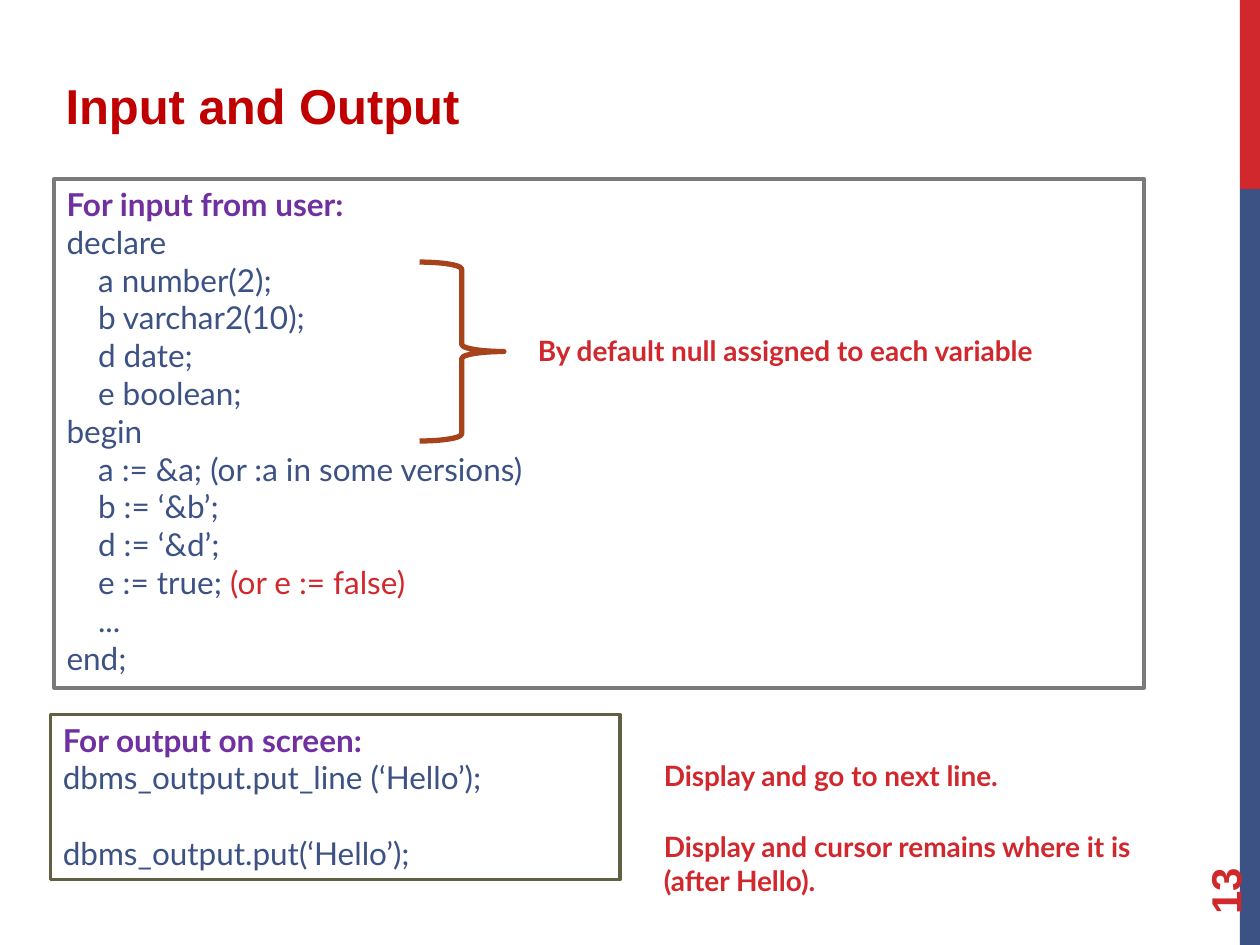
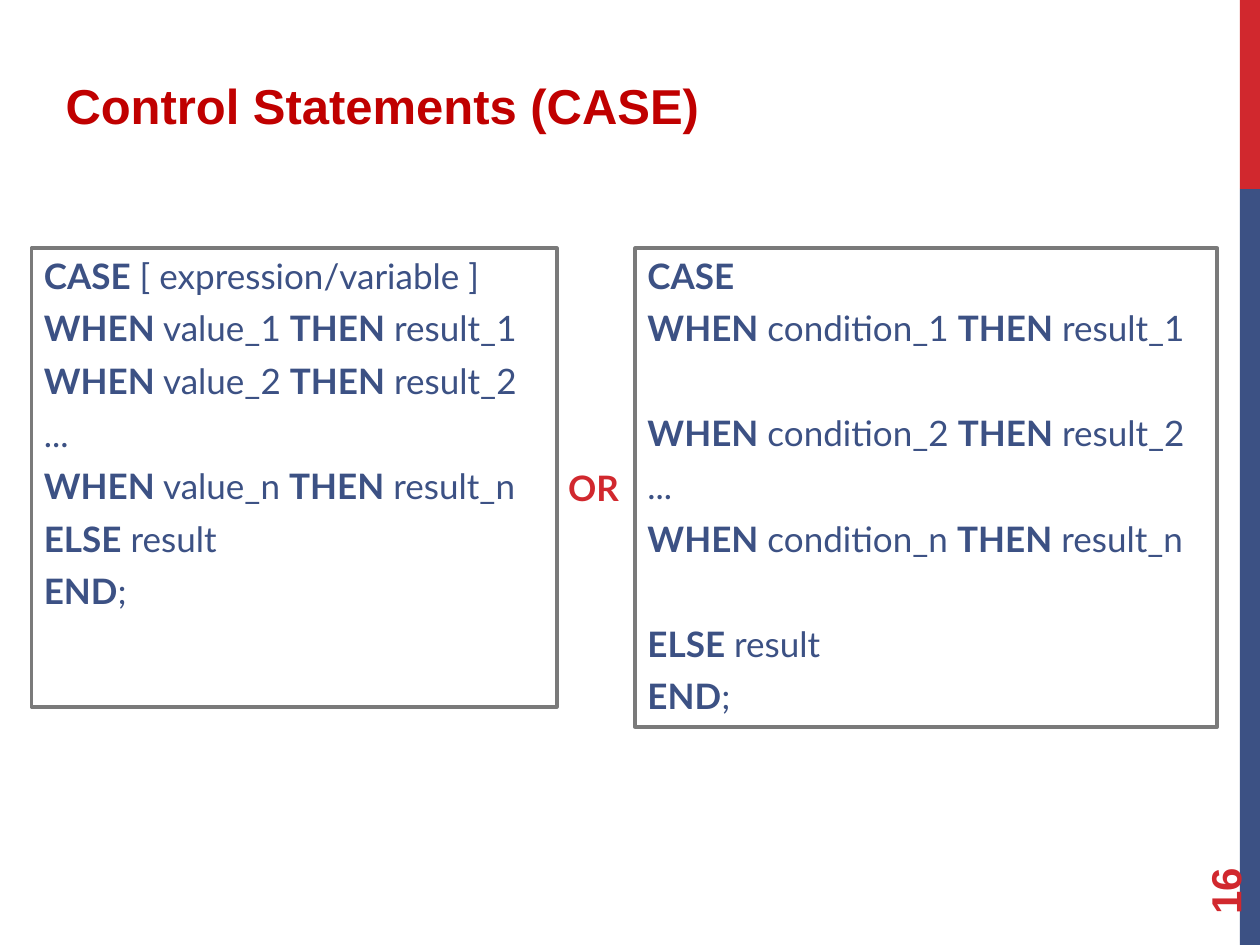
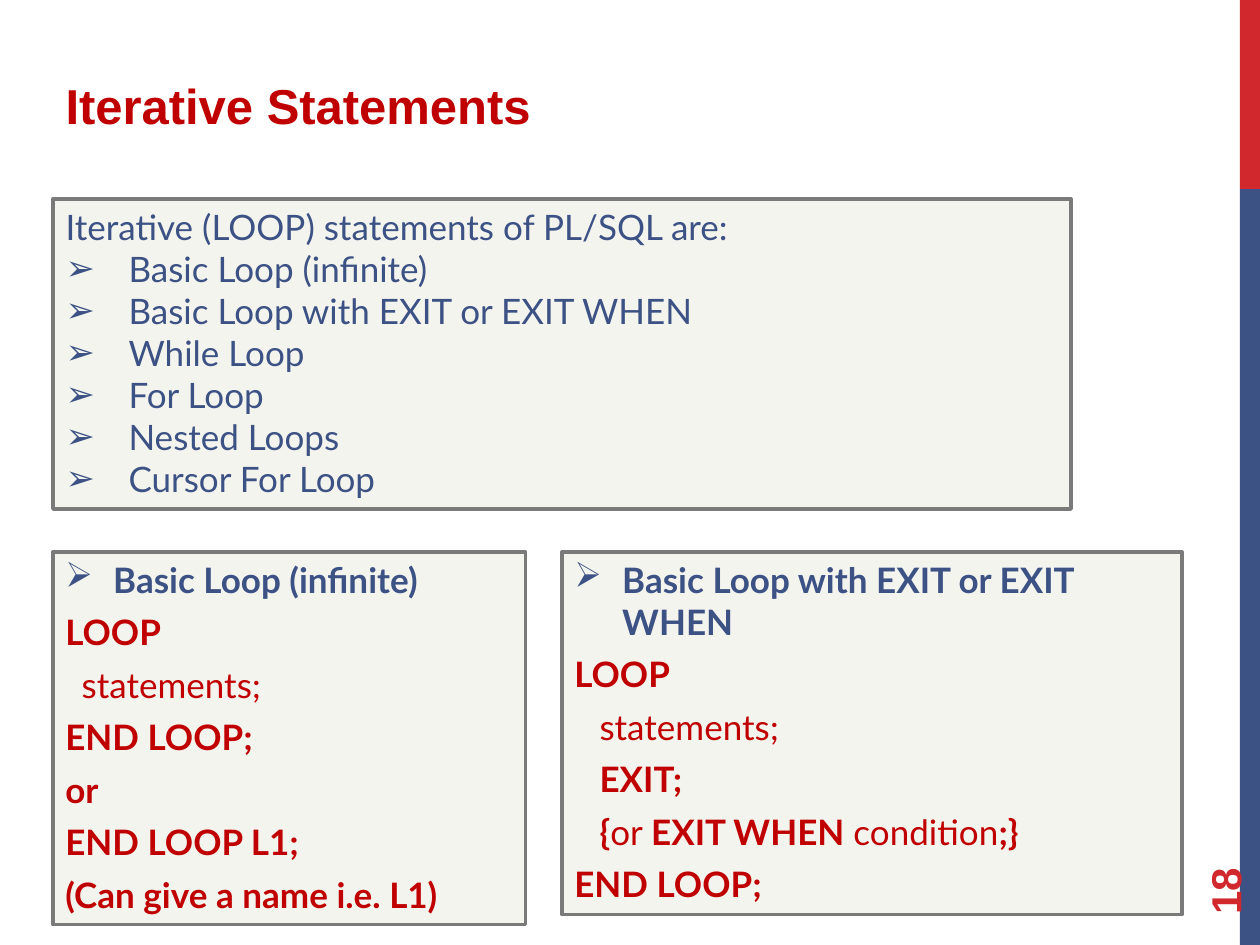
from dataclasses import dataclass

from lxml import etree
from pptx import Presentation
from pptx.dml.color import RGBColor
from pptx.enum.shapes import MSO_SHAPE
from pptx.enum.text import MSO_ANCHOR, MSO_AUTO_SIZE, PP_ALIGN
from pptx.oxml.ns import qn
from pptx.util import Inches, Pt

RED, BLUE, CRIMSON, PURPLE = "D1282E", "3C5184", "C00000", "7030A0"
GREY, OLIVE, RUST, CREAM = "7A7A7A", "616042", "A6431A", "F4F4EF"
BODY_FONT, HEAD_FONT = "Lato", "Arial"
LINE = 1.2  # line height of the body font, in ems
TITLE_AND_CONTENT, TITLE_ONLY = 1, 5


@dataclass
class Para:
    """One paragraph; ** in the text switches bold, tail is a red ending."""
    text: str
    color: str = BLUE
    indent: float = 0
    before: float = 0
    bullet: bool = False
    tail: str = ""


def rgb(value):
    """Turn a hex string into a colour."""
    return RGBColor.from_string(value)


def add_run(paragraph, text, size, color, bold, font=BODY_FONT):
    """Append a formatted run."""
    run = paragraph.add_run()
    run.text = text
    run.font.size, run.font.name, run.font.bold = Pt(size), font, bold
    run.font.color.rgb = rgb(color)


def set_indent(paragraph, left, bullet=False):
    """Set the left indent, with a hanging arrow bullet or none."""
    props = paragraph._p.get_or_add_pPr()
    props.set("marL", str(Inches(left)))
    props.set("indent", str(-Inches(left) if bullet else 0))
    mark = etree.SubElement(props, qn("a:buChar" if bullet else "a:buNone"))
    if bullet:
        mark.set("char", "➢")


def write(shape, paras, size, wrap=True):
    """Fill a shape with left-aligned paragraphs from the top."""
    frame = shape.text_frame
    frame.word_wrap, frame.auto_size = wrap, MSO_AUTO_SIZE.NONE
    frame.vertical_anchor = MSO_ANCHOR.TOP
    for i, para in enumerate(paras):
        p = frame.paragraphs[0] if i == 0 else frame.add_paragraph()
        p.alignment = PP_ALIGN.LEFT
        p.space_before, p.space_after = Pt(para.before), Pt(0)
        set_indent(p, para.indent, para.bullet)
        for j, part in enumerate(para.text.split("**")):
            if part:
                add_run(p, part, size, para.color, j % 2 == 1)
        if para.tail:
            add_run(p, para.tail, size, RED, False)


def place(shape, box):
    """Move a shape to a box of left, top, width and height in inches."""
    shape.left, shape.top, shape.width, shape.height = map(Inches, box)


def frame_box(shape, line=GREY, fill=None):
    """Give a shape the framed panel look."""
    shape.line.color.rgb, shape.line.width = rgb(line), Pt(2)
    if fill:
        shape.fill.solid()
        shape.fill.fore_color.rgb = rgb(fill)
    else:
        shape.fill.background()


def panel(slide, box, paras, size, line=GREY, fill=None):
    """Add a framed rectangle with text."""
    shape = slide.shapes.add_shape(MSO_SHAPE.RECTANGLE, *map(Inches, box))
    shape.shadow.inherit = False
    frame_box(shape, line, fill)
    write(shape, paras, size)


def note(slide, box, paras, size, wrap=True):
    """Add free-standing text."""
    write(slide.shapes.add_textbox(*map(Inches, box)), paras, size, wrap)


def brace(slide, box):
    """Add a right brace."""
    shape = slide.shapes.add_shape(MSO_SHAPE.RIGHT_BRACE, *map(Inches, box))
    shape.shadow.inherit = False
    shape.fill.background()
    shape.line.color.rgb, shape.line.width = rgb(RUST), Pt(3)


def add_bands(prs, slide):
    """Draw the two side bands and move them to the back of the master."""
    tree = prs.slide_master.shapes.element
    for top, height, color in ((0, 1.5, RED), (1.5, 6, BLUE)):
        band = slide.shapes.add_shape(
            MSO_SHAPE.RECTANGLE, *map(Inches, (9.84, top, 0.16, height)))
        band.shadow.inherit = False
        band.fill.solid()
        band.fill.fore_color.rgb = rgb(color)
        band.line.fill.background()
        tree.insert(2, band.element)


def new_slide(prs, layout, title, number):
    """Add a slide with its title and rotated page number."""
    slide = prs.slides.add_slide(prs.slide_layouts[layout])
    heading = slide.shapes.title
    place(heading, (0.42, 0.5, 9.25, 0.67))
    frame = heading.text_frame
    frame.auto_size, frame.vertical_anchor = MSO_AUTO_SIZE.NONE, MSO_ANCHOR.TOP
    frame.margin_top = Inches(0.1)
    frame.paragraphs[0].alignment = PP_ALIGN.LEFT
    add_run(frame.paragraphs[0], title, 28, CRIMSON, True, HEAD_FONT)

    page = slide.shapes.add_textbox(*map(Inches, (9, 6.44, 1.44, 0.4)))
    page.rotation = 270
    page.text_frame.word_wrap = True
    page.text_frame.vertical_anchor = MSO_ANCHOR.MIDDLE
    add_run(page.text_frame.paragraphs[0], number, 24, RED, True, HEAD_FONT)
    return slide


def input_output_slide(prs):
    """Reading input and printing output."""
    slide = new_slide(prs, TITLE_ONLY, "Input and Output", "13")
    size, step = 18, 0.25
    declarations = ["a number(2);", "b varchar2(10);", "d date;", "e boolean;"]
    assignments = ["a := &a; (or :a in some versions)", "b := ‘&b’;", "d := ‘&d’;"]
    panel(slide, (0.43, 1.42, 8.65, 4.04), [
        Para("**For input from user:**", PURPLE),
        Para("declare"),
        *[Para(text, indent=step) for text in declarations],
        Para("begin"),
        *[Para(text, indent=step) for text in assignments],
        Para("e := true; ", indent=step, tail="(or e := false)"),
        Para("...", indent=step),
        Para("end;"),
    ], size)
    brace(slide, (3.33, 2.08, 0.67, 1.42))
    note(slide, (4.17, 2.6, 4.78, 0.37),
         [Para("**By default null assigned to each variable**", RED)], 16, False)

    gap = size * LINE
    panel(slide, (0.4, 5.67, 4.52, 1.31), [
        Para("**For output on screen:**", PURPLE),
        Para("dbms_output.put_line (‘Hello’);"),
        Para("dbms_output.put(‘Hello’);", before=gap),
    ], size, OLIVE)
    note(slide, (5.17, 5.97, 3.91, 1.21), [
        Para("**Display and go to next line.**", RED),
        Para("**Display and cursor remains where it is (after Hello).**", RED,
             before=gap),
    ], 16)
    return slide


def case_slide(prs):
    """The two forms of the CASE statement."""
    slide = new_slide(prs, TITLE_ONLY, "Control Statements (CASE)", "16")
    size, space = 20, 6
    wide = 2 * space + size * LINE

    def branch(kind, index, before=space):
        """One WHEN line."""
        return Para(f"**WHEN** {kind}_{index} **THEN** result_{index}",
                    before=before)

    dots = Para("...", before=space)
    end = Para("**END**;", before=space)
    panel(slide, (0.25, 1.97, 4.17, 3.64), [
        Para("**CASE** [ expression/variable ]"),
        branch("value", 1), branch("value", 2), dots, branch("value", "n"),
        Para("**ELSE** result", before=space), end,
    ], size)
    panel(slide, (5.04, 1.97, 4.62, 3.8), [
        Para("**CASE**"),
        branch("condition", 1), branch("condition", 2, wide), dots,
        branch("condition", "n"),
        Para("**ELSE** result", before=wide), end,
    ], size)
    note(slide, (4.41, 3.65, 0.62, 0.44), [Para("**OR**", RED)], size, False)


def loop_panel(slide, box, heading, lines):
    """A bulleted heading above red code lines of (text, indent)."""
    panel(slide, box, [
        Para(f"**{heading}**", indent=0.38, bullet=True),
        *[Para(text, CRIMSON, indent, 6) for text, indent in lines],
    ], 20, fill=CREAM)


def loops_slide(prs):
    """The kinds of loop, with two of them spelled out."""
    slide = new_slide(prs, TITLE_AND_CONTENT, "Iterative Statements", "18")
    basic, with_exit = "Basic Loop (infinite)", "Basic Loop with EXIT or EXIT WHEN"
    kinds = [basic, with_exit, "While Loop", "For Loop", "Nested Loops",
             "Cursor For Loop"]
    overview = slide.placeholders[1]
    place(overview, (0.42, 1.58, 8.08, 2.46))
    frame_box(overview, fill=CREAM)
    write(overview, [
        Para("Iterative (LOOP) statements of PL/SQL are:"),
        *[Para(kind, indent=0.5, bullet=True) for kind in kinds],
    ], 20)
    loop_panel(slide, (0.42, 4.38, 3.75, 2.96), basic, [
        ("**LOOP**", 0), ("statements;", 0.13), ("**END LOOP;**", 0),
        ("**or**", 0), ("**END LOOP L1;**", 0),
        ("**(Can give a name i.e. L1)**", 0),
    ])
    loop_panel(slide, (4.46, 4.38, 4.92, 2.88), with_exit, [
        ("**LOOP**", 0), ("statements;", 0.2), ("**EXIT;**", 0.2),
        ("**{**or **EXIT WHEN** condition**;}**", 0.2), ("**END LOOP;**", 0),
    ])


prs = Presentation()
prs.slide_width, prs.slide_height = Inches(10), Inches(7.5)
first = input_output_slide(prs)
add_bands(prs, first)
case_slide(prs)
loops_slide(prs)
prs.save("out.pptx")
